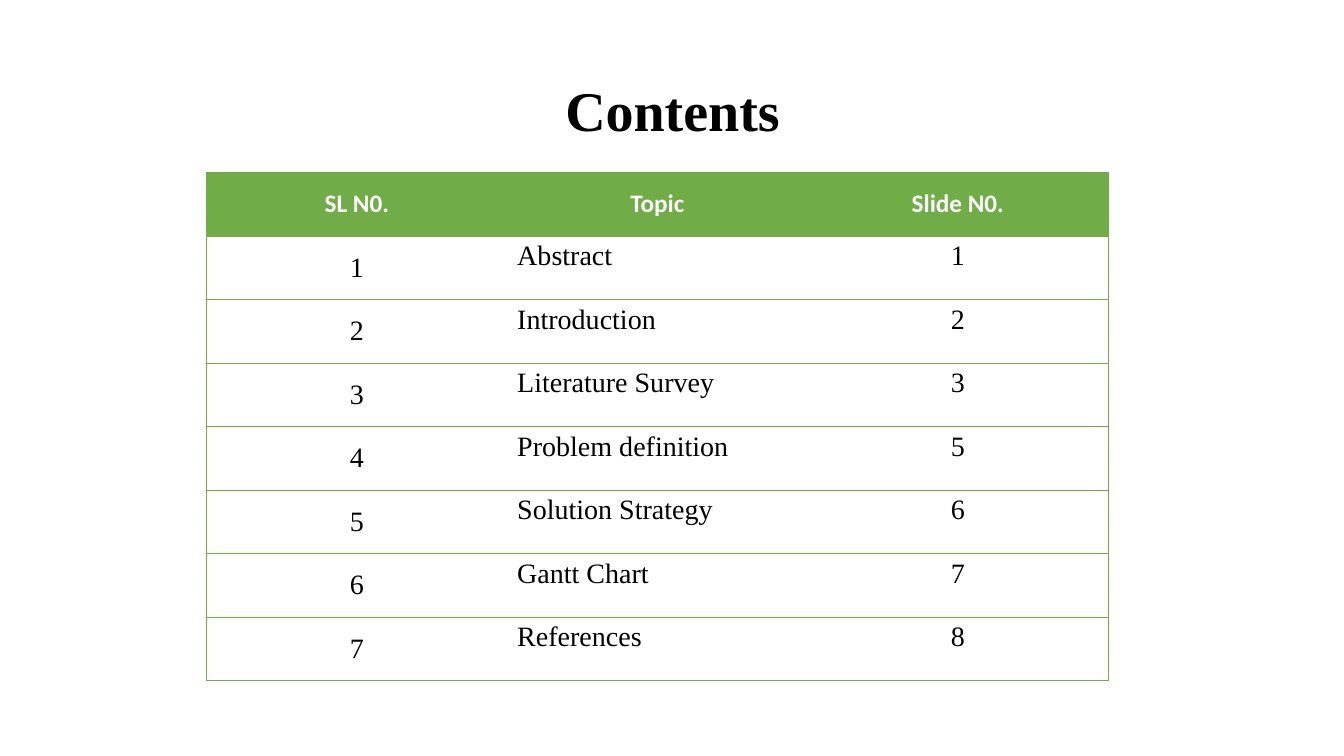
from dataclasses import dataclass

from lxml.etree import SubElement
from pptx import Presentation
from pptx.dml.color import RGBColor
from pptx.enum.text import MSO_ANCHOR as Anchor, PP_ALIGN as Align
from pptx.oxml.ns import qn
from pptx.util import Inches, Pt

GREEN = "70AD47"
SERIF = "Times New Roman"
NO_STYLE = "{2D5ABB26-0587-4C30-8999-92F81FD0307C}"


@dataclass
class Style:
    font: str
    size: int
    color: str
    bold: bool
    align: Align
    anchor: Anchor


TITLE = Style(SERIF, 40, "000000", True, Align.CENTER, Anchor.MIDDLE)
HEAD = Style("Calibri", 18, "FFFFFF", True, Align.CENTER, Anchor.MIDDLE)
BODY = [
    Style(SERIF, 20, "000000", False, Align.CENTER, Anchor.MIDDLE),
    Style(SERIF, 20, "000000", False, Align.JUSTIFY, Anchor.TOP),
    Style(SERIF, 20, "000000", False, Align.CENTER, Anchor.TOP),
]
HEADS = ["SL N0.", "Topic", "Slide N0."]
TOPICS = [
    ("Abstract", 1),
    ("Introduction", 2),
    ("Literature Survey", 3),
    ("Problem definition", 5),
    ("Solution Strategy", 6),
    ("Gantt Chart", 7),
    ("References", 8),
]


def paint(target, color: str) -> None:
    target.rgb = RGBColor.from_string(color)


def write(frame, text: str, style: Style) -> None:
    frame.text = text
    para = frame.paragraphs[0]
    para.alignment = style.align
    para.font.name = style.font
    para.font.size = Pt(style.size)
    para.font.bold = style.bold
    paint(para.font.color, style.color)


def edge(cell, sides: str) -> None:
    props = cell._tc.get_or_add_tcPr()
    for side in "LRTB":
        line = SubElement(props, qn(f"a:ln{side}"), w=str(Pt(0.5)))
        if side in sides:
            fill = SubElement(line, qn("a:solidFill"))
            SubElement(fill, qn("a:srgbClr"), val=GREEN)
        else:
            SubElement(line, qn("a:noFill"))


def add_title(slide) -> None:
    title = slide.shapes.title
    title.left, title.top = Inches(0.92), Inches(0.4)
    title.width, title.height = Inches(11.5), Inches(1.45)
    write(title.text_frame, "Contents", TITLE)
    title.text_frame.vertical_anchor = TITLE.anchor
    title.text_frame.paragraphs[0].line_spacing = 0.9


def add_grid(slide) -> None:
    rows = [HEADS] + [[str(n), topic, str(page)]
                      for n, (topic, page) in enumerate(TOPICS, 1)]
    wide, high = Inches(2.98), Inches(0.63)
    frame = slide.shapes.add_table(
        len(rows), len(HEADS), Inches(2.05), Inches(1.71),
        wide * len(HEADS), high * len(rows))
    table = frame.table
    table._tbl.tblPr.find(qn("a:tableStyleId")).text = NO_STYLE
    table.horz_banding = False
    for r, row in enumerate(rows):
        for c, text in enumerate(row):
            cell = table.cell(r, c)
            style = BODY[c] if r else HEAD
            write(cell.text_frame, text, style)
            cell.vertical_anchor = style.anchor
            edge(cell, "TB" + ("L", "", "R")[c])
            if r:
                cell.fill.background()
            else:
                cell.fill.solid()
                paint(cell.fill.fore_color, GREEN)


def main() -> None:
    deck = Presentation()
    deck.slide_width, deck.slide_height = Inches(13.33), Inches(7.5)
    slide = deck.slides.add_slide(deck.slide_layouts[5])
    add_title(slide)
    add_grid(slide)
    deck.save("out.pptx")


if __name__ == "__main__":
    main()
